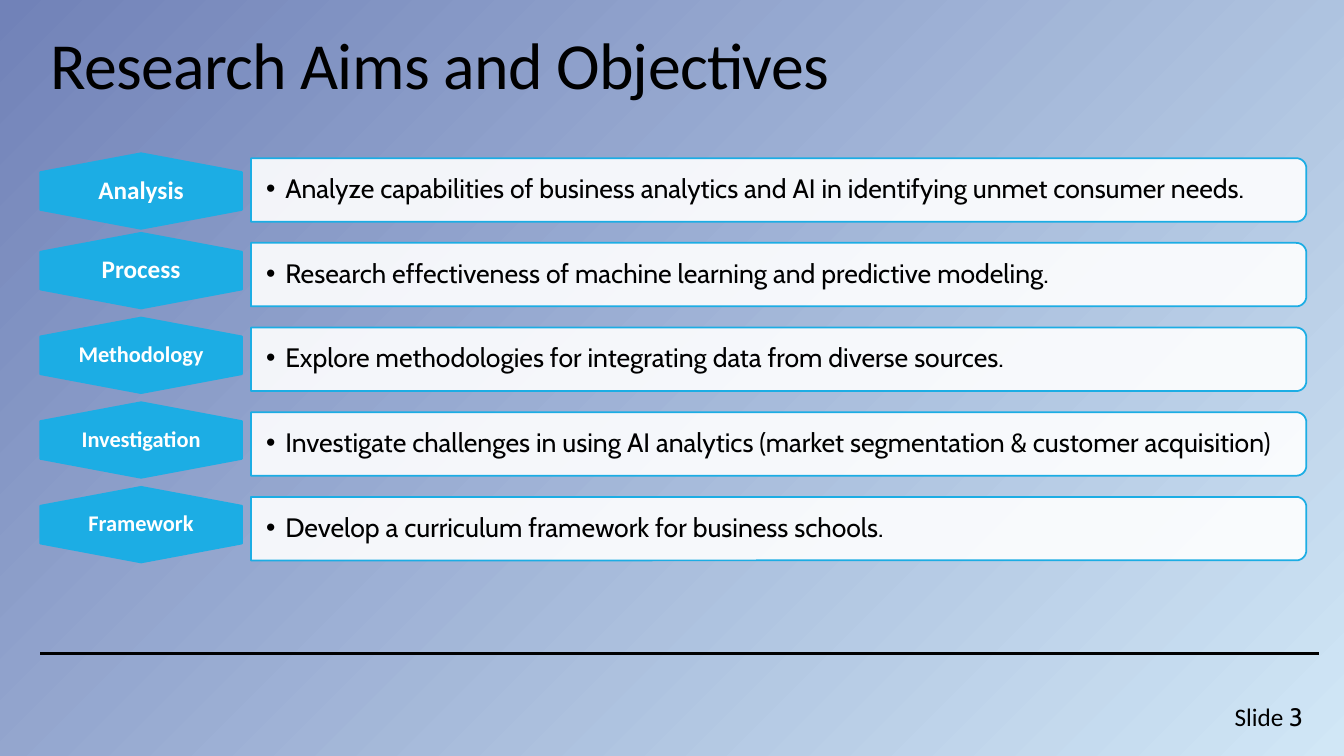
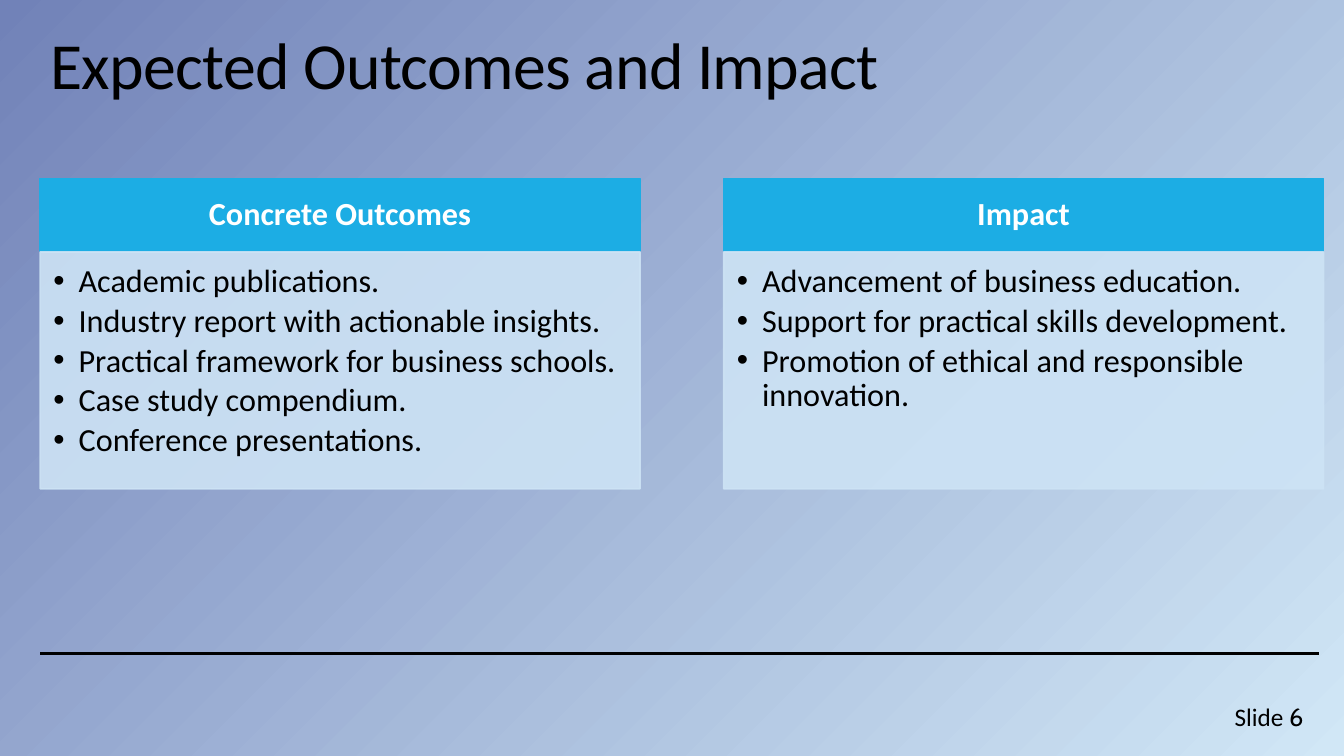
from math import cos, pi, sin

from pptx import Presentation
from pptx.dml.color import RGBColor
from pptx.enum.shapes import MSO_CONNECTOR, MSO_SHAPE
from pptx.enum.text import MSO_ANCHOR, PP_ALIGN
from pptx.oxml.ns import qn
from pptx.util import Inches, Pt
from lxml.etree import SubElement

BLACK = RGBColor(0x00, 0x00, 0x00)
WHITE = RGBColor(0xFF, 0xFF, 0xFF)
ACCENT = RGBColor(0x1C, 0xAD, 0xE4)
PALE = RGBColor(0xCD, 0xE3, 0xF5)
GRADIENT = [RGBColor(0x71, 0x82, 0xB8), RGBColor(0xD1, 0xE7, 0xF6)]
BODY_FONT = "Calibri"
ACCENT_FONT = "Cabin"
LEFT = 0.4

ROW_TOP, ROW_PITCH = 1.57, 0.84
OBJECTIVES = [
    ("Analysis", 18, 0.05, "Analyze capabilities of business analytics and AI in identifying unmet consumer needs."),
    ("Process", 18, 0.1, "Research effectiveness of machine learning and predictive modeling."),
    ("Methodology", 16, 0.1, "Explore methodologies for integrating data from diverse sources."),
    ("Investigation", 16, 0.1, "Investigate challenges in using AI analytics (market segmentation & customer acquisition)"),
    ("Framework", 16, 0.1, "Develop a curriculum framework for business schools."),
]

COLUMN_WIDTH, COLUMN_PITCH = 5.95, 6.78
OUTCOMES = [
    ("Concrete Outcomes", [
        "Academic publications.",
        "Industry report with actionable insights.",
        "Practical framework for business schools.",
        "Case study compendium.",
        "Conference presentations.",
    ]),
    ("Impact", [
        "Advancement of business education.",
        "Support for practical skills development.",
        "Promotion of ethical and responsible innovation.",
    ]),
]


def set_background(master):
    fill = master.background.fill
    fill.gradient()
    fill.gradient_angle = 315
    for position, (stop, color) in enumerate(zip(fill.gradient_stops, GRADIENT)):
        stop.position = position
        stop.color.rgb = color


def format_font(font, size, color=BLACK, name=BODY_FONT, bold=False):
    font.size = Pt(size)
    font.color.rgb = color
    font.name = name
    font.bold = bold


def set_opacity(element, percent):
    for color in element.iter(qn("a:srgbClr")):
        SubElement(color, qn("a:alpha"), val=str(percent * 1000))


def style_shape(shape, fill, line):
    shape.shadow.inherit = False
    shape.fill.solid()
    shape.fill.fore_color.rgb = fill
    shape.line.color.rgb = line
    shape.line.width = Pt(1.25)


def set_frame(shape, anchor, margins):
    frame = shape.text_frame
    frame.word_wrap = True
    frame.vertical_anchor = anchor
    frame.margin_left, frame.margin_top, frame.margin_right, frame.margin_bottom = map(Inches, margins)
    return frame


def write_label(shape, text, size, margins):
    frame = set_frame(shape, MSO_ANCHOR.MIDDLE, margins)
    frame.text = text
    paragraph = frame.paragraphs[0]
    paragraph.alignment = PP_ALIGN.CENTER
    paragraph.line_spacing = 0.9
    format_font(paragraph.runs[0].font, size, WHITE, bold=True)


def write_bullets(shape, items, size, font_name, indent, anchor, margins):
    frame = set_frame(shape, anchor, margins)
    frame.text = "\n".join(items)
    for paragraph in frame.paragraphs:
        properties = paragraph._p.get_or_add_pPr()
        properties.set("marL", str(Inches(indent)))
        properties.set("indent", str(-Inches(indent)))
        SubElement(properties, qn("a:buFont"), typeface="Arial")
        SubElement(properties, qn("a:buChar"), char="•")
        paragraph.alignment = PP_ALIGN.LEFT
        paragraph.line_spacing = 0.9
        paragraph.space_after = Pt(size * 0.15)
        format_font(paragraph.runs[0].font, size, name=font_name)


def add_text_box(slide, left, top, width, height):
    return slide.shapes.add_textbox(Inches(left), Inches(top), Inches(width), Inches(height))


def add_outline(slide, points):
    start, *others = [(Inches(x), Inches(y)) for x, y in points]
    builder = slide.shapes.build_freeform(*start)
    builder.add_line_segments(others, close=True)
    return builder.convert_to_shape()


def add_hexagon(slide, left, top, width, height):
    middle, right, bottom, slope = left + width / 2, left + width, top + height, height / 4
    hexagon = add_outline(slide, [
        (middle, top), (right, top + slope), (right, bottom - slope),
        (middle, bottom), (left, bottom - slope), (left, top + slope),
    ])
    style_shape(hexagon, ACCENT, ACCENT)
    return hexagon


def add_panel(slide, left, top, width, height, radius=0.1, steps=8):
    right, bottom = left + width - radius, top + height
    angles = [pi / 2 * step / steps for step in range(steps + 1)]
    upper = [(right + radius * sin(a), top + radius - radius * cos(a)) for a in angles]
    lower = [(x, top + bottom - y) for x, y in reversed(upper)]
    panel = add_outline(slide, [(left, top), *upper, *lower, (left, bottom)])
    style_shape(panel, WHITE, ACCENT)
    set_opacity(panel._element.spPr.find(qn("a:solidFill")), 90)
    return panel


def add_base_slide(presentation, title, number):
    slide = presentation.slides.add_slide(presentation.slide_layouts[6])
    rule = slide.shapes.add_connector(
        MSO_CONNECTOR.STRAIGHT, Inches(LEFT), Inches(6.48), Inches(13.09), Inches(6.48))
    rule.line.color.rgb = BLACK
    rule.line.width = Pt(2.25)
    SubElement(rule._element.spPr, qn("a:effectLst"))

    footer = add_text_box(slide, 12.15, 6.91, 1.08, 0.4)
    footer.text_frame.word_wrap = True
    paragraph = footer.text_frame.paragraphs[0]
    for text, font_name in (("Slide ", BODY_FONT), (str(number), ACCENT_FONT)):
        run = paragraph.add_run()
        run.text = text
        format_font(run.font, 18, name=font_name)

    heading = add_text_box(slide, LEFT, 0.26, 12.48, 0.82)
    frame = set_frame(heading, MSO_ANCHOR.BOTTOM, (0.1, 0.05, 0.1, 0.05))
    frame.text = title
    paragraph = frame.paragraphs[0]
    paragraph.line_spacing = 0.9
    run = paragraph.runs[0]
    format_font(run.font, 47)
    run._r.get_or_add_rPr().set("spc", "-50")
    return slide


def add_objective(slide, row, name, size, rise, text):
    top = ROW_TOP + row * ROW_PITCH
    hexagon = add_hexagon(slide, LEFT, top - rise, 2, 0.75)
    write_label(hexagon, name, size, (0.31, 0.17, 0.31, 0.17))
    panel = add_panel(slide, 2.49, top, 10.47, 0.63)
    write_bullets(panel, [text], 19, ACCENT_FONT, 0.19, MSO_ANCHOR.MIDDLE, (0.15, 0.04, 0.04, 0.04))


def add_block(slide, left, top, height, fill):
    block = slide.shapes.add_shape(
        MSO_SHAPE.RECTANGLE, Inches(left), Inches(top), Inches(COLUMN_WIDTH), Inches(height))
    style_shape(block, fill, fill)
    return block


def add_outcome_column(slide, column, name, items):
    left = LEFT + column * COLUMN_PITCH
    header = add_block(slide, left, 1.77, 0.72, ACCENT)
    write_label(header, name, 23, (0.18, 0.1, 0.18, 0.1))
    body = add_block(slide, left, 2.5, 2.35, PALE)
    set_opacity(body._element.spPr, 90)
    write_bullets(body, items, 23, BODY_FONT, 0.25, MSO_ANCHOR.TOP, (0.13, 0.13, 0.18, 0.2))


def main():
    presentation = Presentation()
    presentation.slide_width = Inches(7.5 * 16 / 9)
    presentation.slide_height = Inches(7.5)
    set_background(presentation.slide_master)

    slide = add_base_slide(presentation, "Research Aims and Objectives", 3)
    for row, objective in enumerate(OBJECTIVES):
        add_objective(slide, row, *objective)

    slide = add_base_slide(presentation, "Expected Outcomes and Impact", 6)
    for column, outcome in enumerate(OUTCOMES):
        add_outcome_column(slide, column, *outcome)

    presentation.save("out.pptx")


if __name__ == "__main__":
    main()
